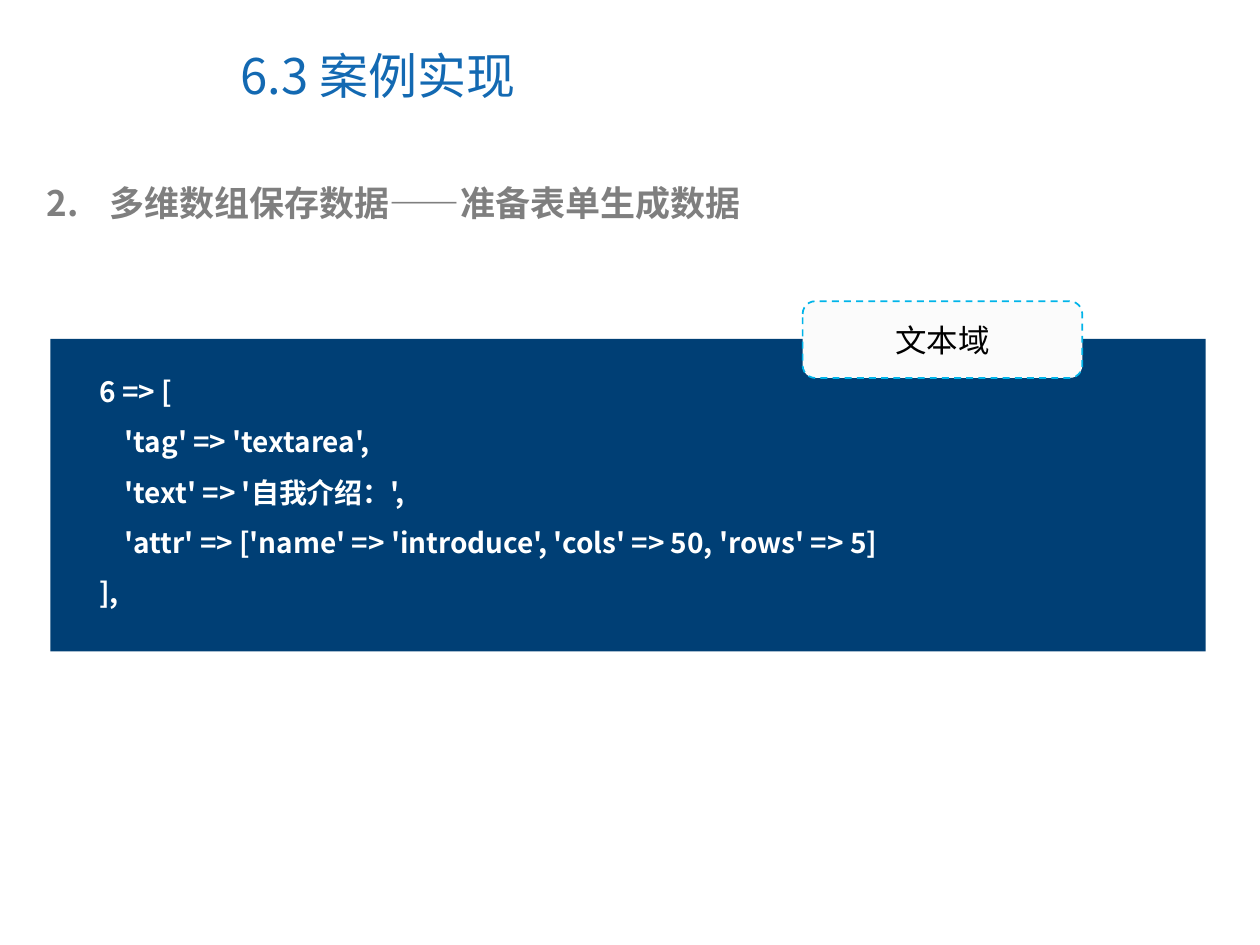
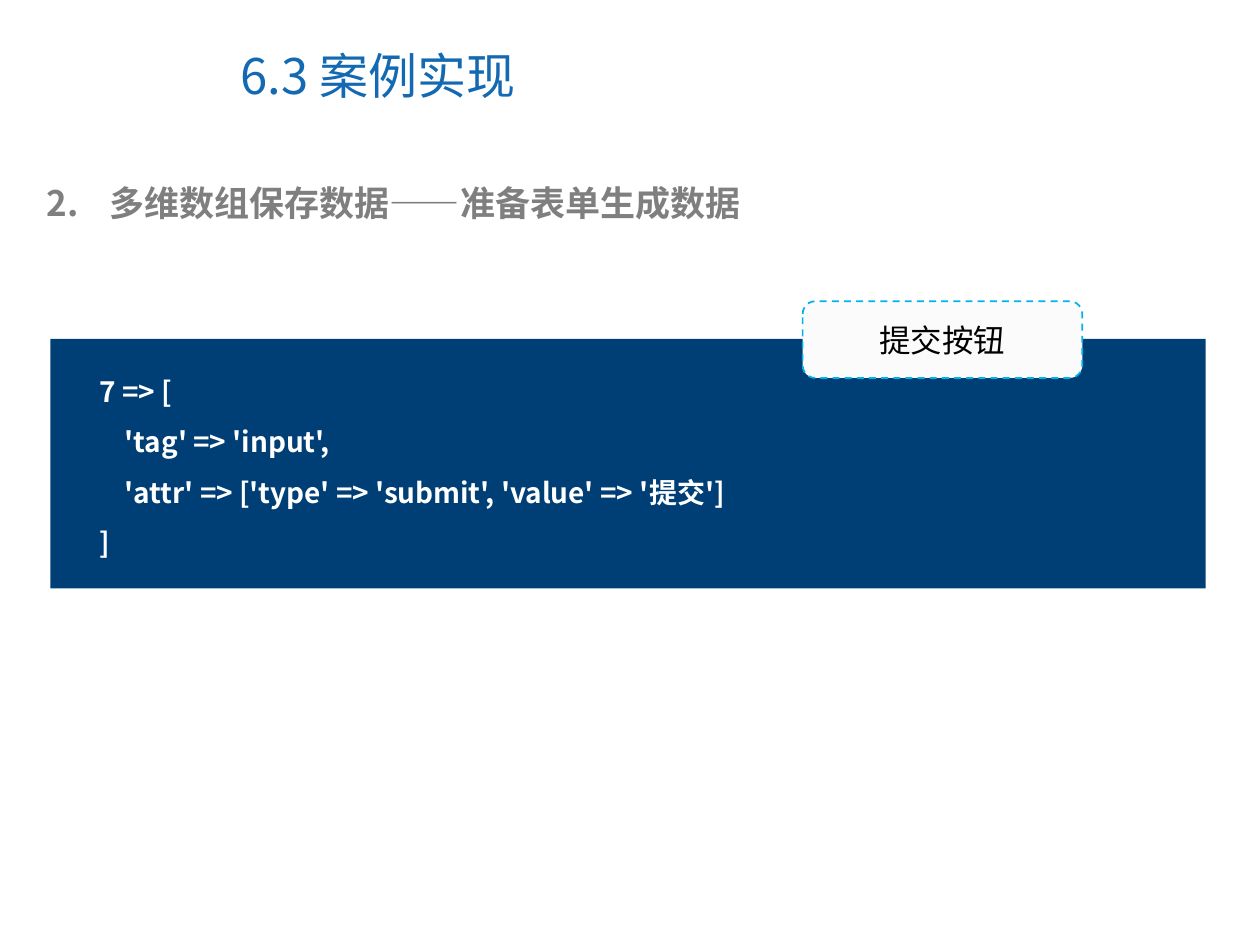
"""Build two slides that show form-field array code under a labelled panel."""
from lxml import etree
from pptx import Presentation
from pptx.dml.color import RGBColor
from pptx.enum import dml, shapes, text
from pptx.oxml import ns
from pptx.util import Inches, Pt

TITLE = "6.3 案例实现"
HEADING = "多维数组保存数据——准备表单生成数据"
HEADING_NUMBER = 2
EXAMPLES = [
    ("文本域", [
        "6 => [",
        "    'tag' => 'textarea',",
        "    'text' => '自我介绍：',",
        "    'attr' => ['name' => 'introduce', 'cols' => 50, 'rows' => 5]",
        "],",
    ]),
    ("提交按钮", [
        "7 => [",
        "    'tag' => 'input',",
        "    'attr' => ['type' => 'submit', 'value' => '提交']",
        "]",
    ]),
]

FONT = "Noto Sans CJK SC"
LABEL_FONT = "Arial"
BLUE, GREY, NAVY, CYAN = "1369B2", "7F7F7F", "003F75", "00B4E9"
WHITE, PALE, BLACK = "FFFFFF", "FBFBFB", "000000"

PANEL_LEFT, PANEL_TOP, PANEL_WIDTH = 0.4, 2.69, 9.17
CODE_LEFT, CODE_TOP, CODE_WIDTH = 0.69, 2.79, 8.88


def color(value):
    return RGBColor.from_string(value)


def box(left, top, width, height):
    return [Inches(length) for length in (left, top, width, height)]


def add_run(paragraph, words, size, fill, bold=False, font=FONT):
    run = paragraph.add_run()
    run.text = words
    run.font.size = Pt(size)
    run.font.bold = bold
    run.font.name = font
    run.font.color.rgb = color(fill)
    east_asian = etree.SubElement(run._r.get_or_add_rPr(), ns.qn("a:ea"))
    east_asian.set("typeface", FONT)


def add_text_box(slide, *place):
    frame = slide.shapes.add_textbox(*box(*place)).text_frame
    frame.word_wrap = True
    return frame


def add_filled_shape(slide, kind, place, fill):
    shape = slide.shapes.add_shape(kind, *box(*place))
    shape.shadow.inherit = False
    shape.fill.solid()
    shape.fill.fore_color.rgb = color(fill)
    shape.line.fill.background()
    return shape


def set_title(slide):
    title = slide.shapes.title
    title.left, title.top, title.width, title.height = box(1.81, 0.17, 5.16, 0.85)
    frame = title.text_frame
    frame.auto_size = text.MSO_AUTO_SIZE.NONE
    frame.vertical_anchor = text.MSO_ANCHOR.MIDDLE
    paragraph = frame.paragraphs[0]
    paragraph.alignment = text.PP_ALIGN.LEFT
    add_run(paragraph, TITLE, 28, BLUE)


def add_heading(slide):
    paragraph = add_text_box(slide, 0.27, 1.39, 9.22, 0.44).paragraphs[0]
    properties = paragraph._p.get_or_add_pPr()
    properties.set("marL", str(Inches(0.5)))
    properties.set("indent", str(Inches(-0.5)))
    bullet_color = etree.SubElement(properties, ns.qn("a:buClr"))
    etree.SubElement(bullet_color, ns.qn("a:srgbClr")).set("val", GREY)
    number = etree.SubElement(properties, ns.qn("a:buAutoNum"))
    number.set("type", "arabicPeriod")
    number.set("startAt", str(HEADING_NUMBER))
    add_run(paragraph, HEADING, 20, GREY, bold=True)


def add_code(slide, lines):
    panel_height = 0.5 * len(lines) - 0.02
    add_filled_shape(slide, shapes.MSO_SHAPE.RECTANGLE,
                     (PANEL_LEFT, PANEL_TOP, PANEL_WIDTH, panel_height), NAVY)
    frame = add_text_box(slide, CODE_LEFT, CODE_TOP, CODE_WIDTH,
                         0.4 * len(lines) + 0.1)
    for index, line in enumerate(lines):
        paragraph = frame.add_paragraph() if index else frame.paragraphs[0]
        paragraph.line_spacing = 1.5
        add_run(paragraph, line, 16, WHITE, bold=True)


def add_label(slide, words):
    label = add_filled_shape(slide, shapes.MSO_SHAPE.ROUNDED_RECTANGLE,
                             (6.37, 2.39, 2.22, 0.61), PALE)
    label.line.color.rgb = color(CYAN)
    label.line.width = Pt(1)
    label.line.dash_style = dml.MSO_LINE.DASH
    frame = label.text_frame
    frame.vertical_anchor = text.MSO_ANCHOR.MIDDLE
    paragraph = frame.paragraphs[0]
    paragraph.alignment = text.PP_ALIGN.CENTER
    add_run(paragraph, words, 18, BLACK, font=LABEL_FONT)


def main():
    presentation = Presentation()
    presentation.slide_width = Inches(10)
    presentation.slide_height = Inches(7.5)
    for label, lines in EXAMPLES:
        slide = presentation.slides.add_slide(presentation.slide_layouts[5])
        set_title(slide)
        add_heading(slide)
        add_code(slide, lines)
        add_label(slide, label)
    presentation.save("out.pptx")


if __name__ == "__main__":
    main()
